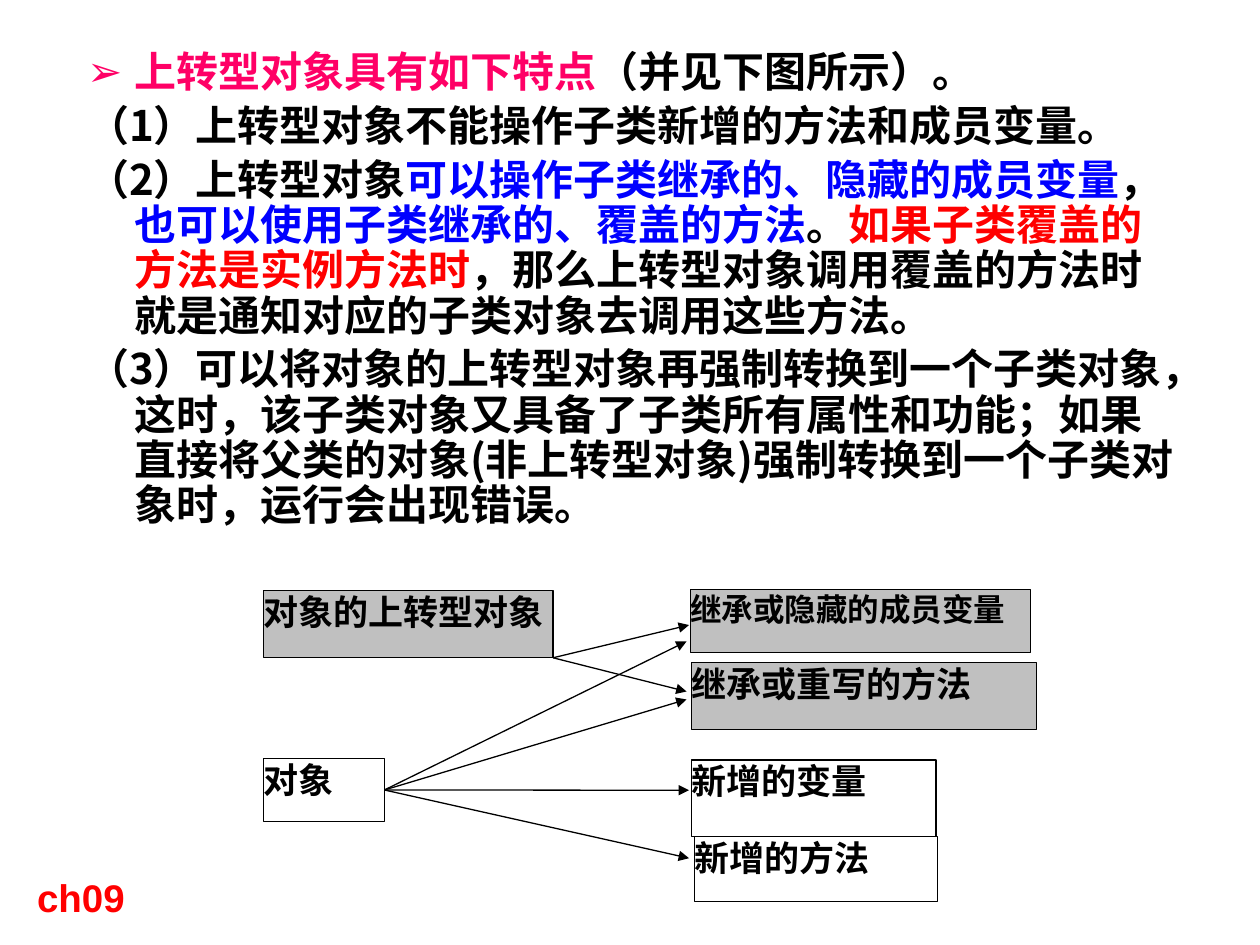
from lxml.etree import SubElement
from pptx import Presentation
from pptx.dml.color import RGBColor
from pptx.enum.shapes import MSO_CONNECTOR as Connector, MSO_SHAPE as Shape
from pptx.enum.text import MSO_ANCHOR as Anchor, MSO_AUTO_SIZE as AutoSize, PP_ALIGN as Align
from pptx.oxml.ns import qn
from pptx.util import Cm, Pt

CJK = "Noto Sans CJK SC"
BLACK, WHITE, GRAY = "000000", "FFFFFF", "C0C0C0"
PINK, BLUE, RED = "FF0066", "0000FF", "FF0000"
HANG = Cm(0.95)

FEATURES = [
    [("上转型对象具有如下特点", PINK), ("（并见下图所示）。", BLACK)],
    [("（1）上转型对象不能操作子类新增的方法和成员变量。", BLACK)],
    [
        ("（2）上转型对象", BLACK),
        ("可以操作子类继承的、隐藏的成员变量", BLUE),
        ("，", BLACK),
        ("也可以使用子类继承的、覆盖的方法", BLUE),
        ("。", BLACK),
        ("如果子类覆盖的方法是实例方法时", RED),
        ("，那么上转型对象调用覆盖的方法时就是通知对应的子类对象去调用这些方法。", BLACK),
    ],
    [("（3）可以将对象的上转型对象再强制转换到一个子类对象，"
      "这时，该子类对象又具备了子类所有属性和功能；"
      "如果直接将父类的对象(非上转型对象)强制转换到一个子类对象时，运行会出现错误。", BLACK)],
]

MEMBERS = [
    ("继承或隐藏的成员变量", 13.92, 11.89, 6.86, 1.27, GRAY, 18),
    ("继承或重写的方法", 13.94, 13.36, 6.96, 1.35, GRAY, 20),
    ("新增的变量", 13.94, 15.32, 4.93, 1.55, WHITE, 20),
    ("新增的方法", 14, 16.87, 4.9, 1.3, WHITE, 20),
]
UPCAST_TARGETS = [(13.89, 12.6), (13.84, 13.94)]
OBJECT_TARGETS = [(13.89, 15.93), (13.89, 17.3), (13.84, 14.1), (13.84, 12.93)]


def rgb(color):
    """Turn a hex string into a colour."""
    return RGBColor.from_string(color)


def add_run(paragraph, text, size, color, latin=CJK):
    """Append one bold run with its Latin and East Asian fonts."""
    run = paragraph.add_run()
    run.text = text
    run.font.size = Pt(size)
    run.font.bold = True
    run.font.name = latin
    run.font.color.rgb = rgb(color)
    SubElement(run._r.get_or_add_rPr(), qn("a:ea"), typeface=CJK)


def set_hanging(paragraph, bullet=None):
    """Give a paragraph a hanging indent, with or without a bullet."""
    properties = paragraph._p.get_or_add_pPr()
    properties.set("marL", str(HANG))
    properties.set("indent", str(-HANG))
    if bullet:
        SubElement(properties, qn("a:buChar"), char=bullet)
    else:
        SubElement(properties, qn("a:buNone"))


def fill_features(body):
    """Place the body placeholder and write the list of features."""
    body.left, body.top, body.width, body.height = Cm(1.5), Cm(0.91), Cm(22.61), Cm(16.79)
    frame = body.text_frame
    frame.auto_size = AutoSize.NONE
    frame.vertical_anchor = Anchor.TOP
    for index, parts in enumerate(FEATURES):
        paragraph = frame.add_paragraph() if index else frame.paragraphs[0]
        set_hanging(paragraph, None if index else "➢")
        paragraph.line_spacing = 0.9
        paragraph.space_before = Pt(4.8 if index else 0)
        for position, (text, color) in enumerate(parts):
            heading_note = index == 0 and position == 1
            add_run(paragraph, text, 24, color, "Arial" if heading_note else CJK)


def add_box(slide, label, left, top, width, height, fill, size=20):
    """Draw a labelled rectangle of the diagram."""
    box = slide.shapes.add_shape(Shape.RECTANGLE, Cm(left), Cm(top), Cm(width), Cm(height))
    box.shadow.inherit = False
    box.fill.solid()
    box.fill.fore_color.rgb = rgb(fill)
    box.line.color.rgb = rgb(BLACK)
    box.line.width = Pt(0.75)
    frame = box.text_frame
    frame.word_wrap = True
    frame.vertical_anchor = Anchor.TOP
    frame.margin_left = frame.margin_top = frame.margin_right = frame.margin_bottom = 0
    paragraph = frame.paragraphs[0]
    paragraph.alignment = Align.JUSTIFY
    add_run(paragraph, label, size, BLACK, "Times New Roman")
    return box


def add_arrow(slide, start, target):
    """Draw a thin arrow from a point to a target given in centimetres."""
    x, y = target
    arrow = slide.shapes.add_connector(Connector.STRAIGHT, *start, Cm(x), Cm(y))
    arrow.line.color.rgb = rgb(BLACK)
    arrow.line.width = Pt(0.75)
    SubElement(arrow.line._get_or_add_ln(), qn("a:tailEnd"), type="triangle")
    SubElement(arrow._element.spPr, qn("a:effectLst"))
    return arrow


def add_diagram(slide):
    """Draw both objects, the members and the arrows between them."""
    plain_object = add_box(slide, "对象", 5.31, 15.29, 2.44, 1.27, WHITE)
    upcast = add_box(slide, "对象的上转型对象", 5.31, 11.91, 5.84, 1.35, GRAY)
    for member in MEMBERS:
        add_box(slide, *member)
    upcast_corner = upcast.left + upcast.width, upcast.top + upcast.height
    for target in UPCAST_TARGETS:
        add_arrow(slide, upcast_corner, target)
    object_side = (plain_object.left + plain_object.width,
                   plain_object.top + plain_object.height // 2)
    for target in OBJECT_TARGETS:
        add_arrow(slide, object_side, target).begin_connect(plain_object, 3)


def add_chapter(slide):
    """Write the chapter mark at the bottom left."""
    chapter = slide.shapes.add_textbox(Cm(0.5), Cm(17.5), Cm(12.7), Cm(1.19))
    chapter.text_frame.word_wrap = True
    chapter.text_frame.auto_size = AutoSize.SHAPE_TO_FIT_TEXT
    add_run(chapter.text_frame.paragraphs[0], "ch09", 22, RED, "Arial")


def main():
    """Build the slide and save it."""
    deck = Presentation()
    deck.slide_width, deck.slide_height = Cm(25.4), Cm(19.05)
    slide = deck.slides.add_slide(deck.slide_layouts[1])
    title = slide.shapes.title._element
    title.getparent().remove(title)
    fill_features(slide.placeholders[1])
    add_diagram(slide)
    add_chapter(slide)
    deck.save("out.pptx")


if __name__ == "__main__":
    main()
